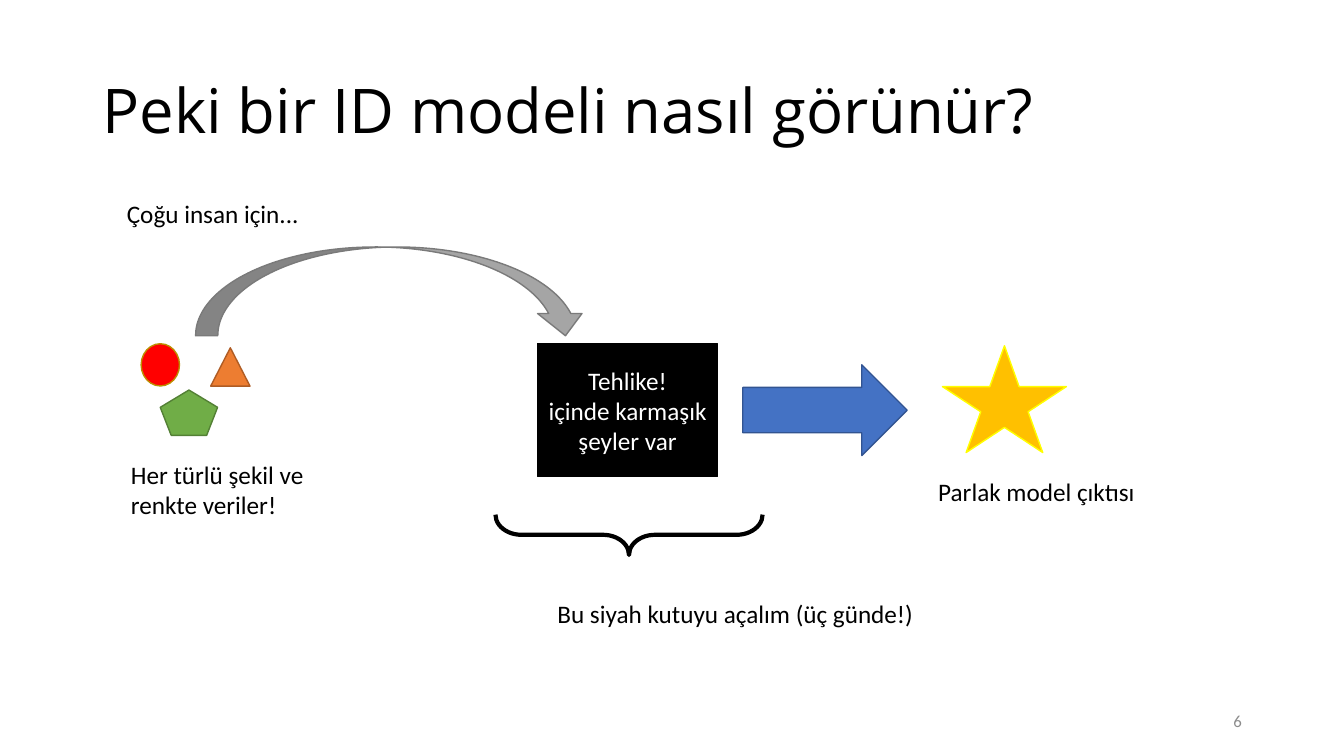
from dataclasses import dataclass

from pptx import Presentation
from pptx.dml.color import RGBColor
from pptx.enum.shapes import MSO_SHAPE
from pptx.enum.text import MSO_ANCHOR, MSO_AUTO_SIZE, PP_ALIGN
from pptx.util import Pt

LEFT, CENTER, RIGHT = PP_ALIGN.LEFT, PP_ALIGN.CENTER, PP_ALIGN.RIGHT
TOP, MIDDLE = MSO_ANCHOR.TOP, MSO_ANCHOR.MIDDLE
GROW, FIXED = MSO_AUTO_SIZE.SHAPE_TO_FIT_TEXT, MSO_AUTO_SIZE.NONE
TITLE_ONLY = 5
BODY_FONT, TITLE_FONT = "Calibri", "Open Sans"

COLORS = {
    "black": "000000", "white": "FFFFFF", "page number": "8C8C8C",
    "orange": "ED7D31", "dark orange": "AF5C24",
    "red": "FF0000", "brown": "BD8E00",
    "gold": "FFC000", "yellow": "FFFF00",
    "gray": "A5A5A5", "dark gray": "7A7A7A",
    "blue": "4472C4", "dark blue": "325491",
    "green": "70AD47", "dark green": "538035",
}


@dataclass(frozen=True)
class Box:
    """A frame in points."""
    left: float
    top: float
    width: float
    height: float

    def lengths(self) -> tuple:
        return Pt(self.left), Pt(self.top), Pt(self.width), Pt(self.height)


@dataclass(frozen=True)
class Figure:
    kind: MSO_SHAPE
    box: Box
    fill: str | None
    line: str
    line_width: float = 1
    rotation: float = 0
    adjustments: tuple[float, ...] = ()
    lines: tuple[str, ...] = ()


@dataclass(frozen=True)
class Label:
    text: str
    box: Box
    wrap: bool = True
    size: float = 18
    color: str = "black"
    align: PP_ALIGN = LEFT
    anchor: MSO_ANCHOR = TOP
    auto_size: MSO_AUTO_SIZE = GROW


FIGURES = (
    # Black box
    Figure(MSO_SHAPE.RECTANGLE, Box(383.8, 245.5, 128.9, 95), "black", "black",
           lines=("Tehlike!", "içinde karmaşık şeyler var")),
    # Input data
    Figure(MSO_SHAPE.ISOSCELES_TRIANGLE, Box(150.5, 248.4, 28.1, 27.4), "orange", "dark orange"),
    Figure(MSO_SHAPE.OVAL, Box(100.8, 245.5, 27.4, 30.2), "red", "brown"),
    Figure(MSO_SHAPE.REGULAR_PENTAGON, Box(114.5, 278.6, 41, 32.4), "green", "dark green"),
    # Model output
    Figure(MSO_SHAPE.STAR_5_POINT, Box(673.2, 247, 88.6, 76.3), "gold", "yellow"),
    # Flow arrows
    Figure(MSO_SHAPE.CURVED_DOWN_ARROW, Box(139.7, 176.4, 280.1, 63.4), "gray", "dark gray"),
    Figure(MSO_SHAPE.RIGHT_ARROW, Box(530.6, 260.6, 117.4, 64.8), "blue", "dark blue"),
    # Brace under the black box, turned to point down
    Figure(MSO_SHAPE.LEFT_BRACE, Box(434.9, 286.6, 28.8, 190.8), None, "black",
           line_width=3, rotation=270, adjustments=(0.645, 0.5)),
)

LABELS = (
    Label("Her türlü şekil ve renkte veriler!", Box(86.4, 324.7, 157, 51.1)),
    Label("Parlak model çıktısı", Box(663.1, 337, 199.4, 28.8)),
    Label("Çoğu insan için...", Box(83.5, 138.2, 152.6, 28.8), wrap=False),
    Label("Bu siyah kutuyu açalım (üç günde!)", Box(391, 424.1, 330.5, 28.8), wrap=False),
    Label("6", Box(678.2, 500.4, 216, 28.8), size=12, color="page number",
          align=RIGHT, anchor=MIDDLE, auto_size=FIXED),
)


def rgb(name: str) -> RGBColor:
    return RGBColor.from_string(COLORS[name])


def write(frame, lines: tuple[str, ...], size: float, color: str,
          align: PP_ALIGN, font: str = BODY_FONT) -> None:
    for index, line in enumerate(lines):
        paragraph = frame.add_paragraph() if index else frame.paragraphs[0]
        paragraph.alignment = align
        run = paragraph.add_run()
        run.text = line
        run.font.name = font
        run.font.size = Pt(size)
        run.font.color.rgb = rgb(color)


def draw_title(slide, text: str, box: Box) -> None:
    title = slide.shapes.title
    title.left, title.top, title.width, title.height = box.lengths()
    frame = title.text_frame
    frame.word_wrap = True
    frame.auto_size = FIXED
    frame.vertical_anchor = MIDDLE
    write(frame, (text,), 44, "black", LEFT, TITLE_FONT)
    frame.paragraphs[0].line_spacing = 0.9


def draw_figure(slide, figure: Figure) -> None:
    shape = slide.shapes.add_shape(figure.kind, *figure.box.lengths())
    shape.shadow.inherit = False
    shape.rotation = figure.rotation
    for index, value in enumerate(figure.adjustments):
        shape.adjustments[index] = value
    if figure.fill:
        shape.fill.solid()
        shape.fill.fore_color.rgb = rgb(figure.fill)
    else:
        shape.fill.background()
    shape.line.color.rgb = rgb(figure.line)
    shape.line.width = Pt(figure.line_width)
    if figure.lines:
        shape.text_frame.word_wrap = True
        shape.text_frame.vertical_anchor = MIDDLE
        write(shape.text_frame, figure.lines, 18, "white", CENTER)


def draw_label(slide, label: Label) -> None:
    frame = slide.shapes.add_textbox(*label.box.lengths()).text_frame
    frame.word_wrap = label.wrap
    frame.auto_size = label.auto_size
    frame.vertical_anchor = label.anchor
    write(frame, (label.text,), label.size, label.color, label.align)


def main() -> None:
    presentation = Presentation()
    presentation.slide_width, presentation.slide_height = Pt(960), Pt(540)
    slide = presentation.slides.add_slide(presentation.slide_layouts[TITLE_ONLY])
    draw_title(slide, "Peki bir ID modeli nasıl görünür?", Box(66, 28.8, 828, 104.4))
    for figure in FIGURES:
        draw_figure(slide, figure)
    for label in LABELS:
        draw_label(slide, label)
    presentation.save("out.pptx")


if __name__ == "__main__":
    main()
